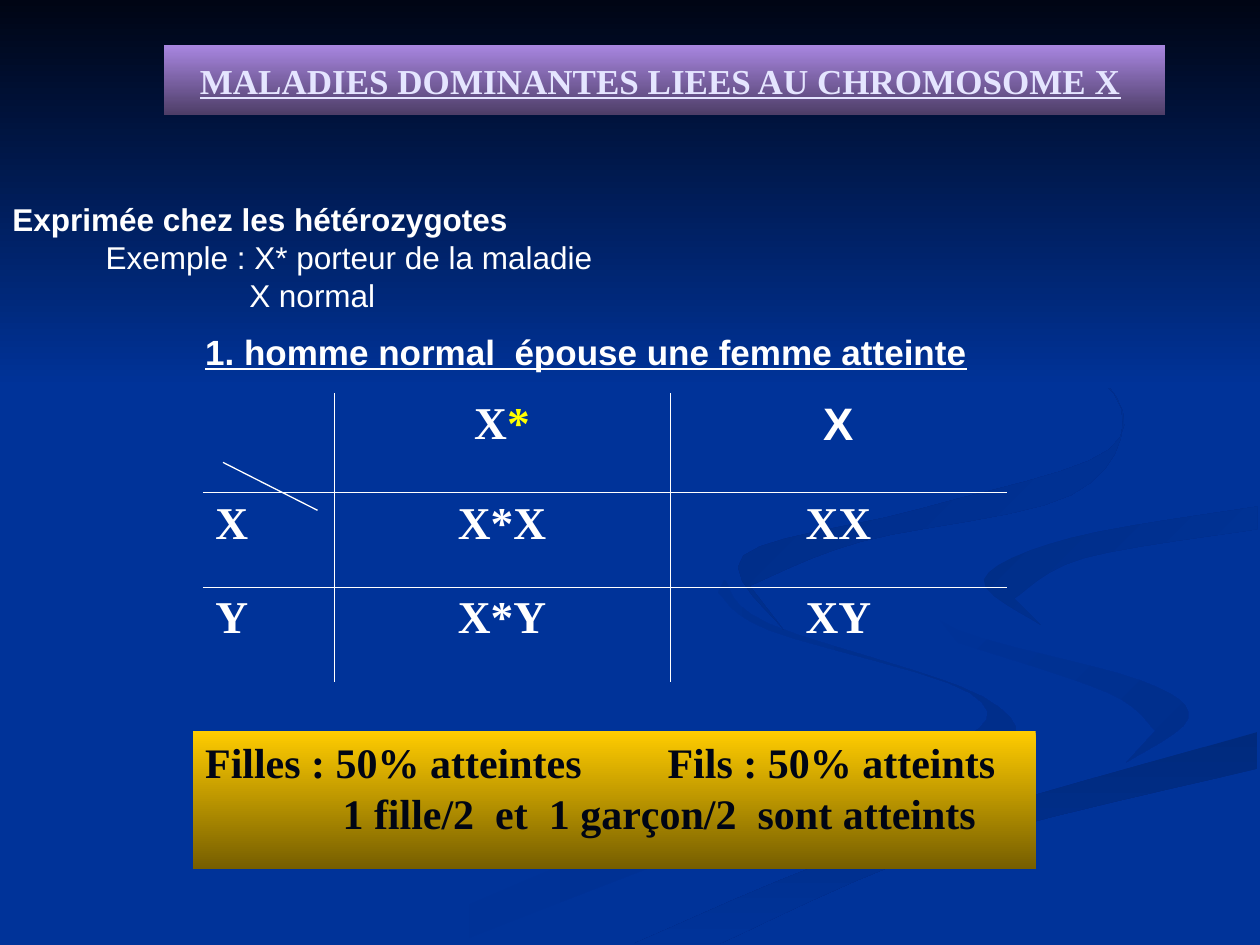
from pptx import Presentation
from pptx.dml.color import RGBColor
from pptx.enum.shapes import MSO_CONNECTOR, MSO_SHAPE
from pptx.enum.text import MSO_ANCHOR, PP_ALIGN
from pptx.oxml.ns import qn
from pptx.util import Inches, Pt
from lxml import etree

RECTANGLE = MSO_SHAPE.RECTANGLE
STRAIGHT = MSO_CONNECTOR.STRAIGHT
TOP, MIDDLE = MSO_ANCHOR.TOP, MSO_ANCHOR.MIDDLE
LEFT, CENTER = PP_ALIGN.LEFT, PP_ALIGN.CENTER

SERIF, SANS = "Times New Roman", "Arial"
WHITE, YELLOW, BLUE, NIGHT = "FFFFFF", "FFFF00", "003399", "000514"

TITLE = "MALADIES DOMINANTES LIEES AU CHROMOSOME X"
EXPRESSION = [
    ("Exprimée chez les hétérozygotes", True, None),
    ("\tExemple\u00a0: X* porteur de la maladie", False, 0.74),
    ("\tX normal", False, 1.88),
]
CROSS_HEADING = "1. homme normal  épouse une femme atteinte"
CROSS = [
    [[], [("X", SERIF, WHITE), ("*", SERIF, YELLOW)], [("X", SANS, WHITE)]],
    [[(genotype, SERIF, WHITE)] for genotype in ("X", "X*X", "XX")],
    [[(genotype, SERIF, WHITE)] for genotype in ("Y", "X*Y", "XY")],
]
COLUMN_WIDTHS, ROW_HEIGHTS = (1.04, 2.67, 2.67), (0.79, 0.75, 0.75)
OUTCOME = [
    ("Filles\u00a0: 50% atteintes\tFils\u00a0: 50% atteints", 3.67),
    ("\t1 fille/2  et  1 garçon/2  sont atteints", 1.09),
]

CURVE_STEPS = 6
SWIRLS = [
    ((BLUE, "002E8B"), 0,
     [(5.75, 4.6), (6.1, 4.95), (7.8, 5.53), (7.9, 6), (6.2, 6.5), (3.6, 7.49)],
     [(3, 7.49), (5.4, 6.5), (7.5, 5.93), (7.7, 5.5), (6.1, 5), (5.7, 4.7)]),
    ((BLUE, "002E8B"), 45,
     [(7.24, 4.64), (7.6, 5), (9.05, 5.4), (9.43, 5.7), (8.94, 6.05)],
     [(9.17, 5.8), (8.8, 5.5), (7.6, 5.1)]),
    (("002A7D", BLUE), 90,
     [(5.03, 7.49), (7, 6.68), (9.98, 5.81)],
     [(9.98, 6.1), (7.5, 6.72), (5.71, 7.49)]),
    (("002D86", BLUE), 45,
     [(8.26, 4.96), (7.81, 4.6), (8.5, 4.27), (9.98, 4.02)],
     [(9.98, 4.2), (8.6, 4.43), (8.05, 4.75)]),
    (("002B82", BLUE), 45,
     [(7.62, 2.33), (8.7, 2.95), (8.8, 3.57), (7.3, 4.04), (5.9, 4.41), (6.22, 5)],
     [(5.95, 4.65), (6.83, 4.3), (8.5, 3.93), (8.9, 3.24), (8.2, 2.6)]),
]


def color(hex_code):
    return RGBColor.from_string(hex_code)


def inches(*lengths):
    return [Inches(length) for length in lengths]


def smooth(edge):
    knots = [edge[0], *edge, edge[-1]]
    points = []
    for before, start, end, after in zip(knots, knots[1:], knots[2:], knots[3:]):
        for step in range(CURVE_STEPS):
            t = step / CURVE_STEPS
            points.append([
                b + t / 2 * (c - a + t * (2 * a - 5 * b + 4 * c - d + t * (3 * b - a - 3 * c + d)))
                for a, b, c, d in zip(before, start, end, after)
            ])
    return points + [edge[-1]]


def paint(shape, colors, angle=90):
    shape.shadow.inherit = False
    shape.line.fill.background()
    shape.fill.gradient()
    shape.fill.gradient_angle = (360 - angle) % 360
    for stop, hex_code in zip(shape.fill.gradient_stops, colors):
        stop.color.rgb = color(hex_code)


def set_frame(frame, anchor):
    frame.word_wrap = True
    frame.vertical_anchor = anchor
    frame.margin_left = frame.margin_right = Inches(0.1)
    frame.margin_top = frame.margin_bottom = Inches(0.05)


def add_paragraph(frame, index, align=LEFT, tab=None):
    paragraph = frame.add_paragraph() if index else frame.paragraphs[0]
    paragraph.alignment = align
    if tab:
        tabs = etree.SubElement(paragraph._p.get_or_add_pPr(), qn("a:tabLst"))
        etree.SubElement(tabs, qn("a:tab"), pos=str(Inches(tab)), algn="l")
    return paragraph


def add_run(paragraph, text, size, font_name, hex_code, bold=True, underline=False):
    run = paragraph.add_run()
    run.text = text
    font = run.font
    font.size, font.name, font.bold, font.underline = Pt(size), font_name, bold, underline
    font.color.rgb = color(hex_code)


def set_borders(cell, inner_sides):
    properties = cell._tc.get_or_add_tcPr()
    for position, side in enumerate("LRTB"):
        border = etree.Element(qn(f"a:ln{side}"), w=str(Pt(0.45)))
        if side in inner_sides:
            solid = etree.SubElement(border, qn("a:solidFill"))
            etree.SubElement(solid, qn("a:srgbClr"), val=WHITE)
        else:
            etree.SubElement(border, qn("a:noFill"))
        properties.insert(position, border)


def add_background(slide):
    slide.background.fill.solid()
    slide.background.fill.fore_color.rgb = color(BLUE)
    for colors, angle, outer_edge, inner_edge in SWIRLS:
        points = [inches(*point) for point in smooth(outer_edge) + smooth(inner_edge)]
        builder = slide.shapes.build_freeform(*points[0])
        builder.add_line_segments(points[1:], close=True)
        paint(builder.convert_to_shape(), colors, angle)
    sky = slide.shapes.add_shape(RECTANGLE, *inches(0, 0, 10, 3.08))
    paint(sky, (NIGHT, BLUE))


def add_title(slide):
    title = slide.shapes.title
    title._element.getparent().append(title._element)
    title.left, title.top, title.width, title.height = inches(1.3, 0.36, 7.95, 0.55)
    paint(title, ("A886E0", "4E3E68"))
    set_frame(title.text_frame, MIDDLE)
    title.text_frame.margin_right = Inches(0.17)
    add_run(add_paragraph(title.text_frame, 0, CENTER), TITLE, 20, SERIF, "E5E5FF", underline=True)


def add_introduction(slide):
    expression = slide.shapes.add_textbox(*inches(0, 1.54, 5.79, 1)).text_frame
    set_frame(expression, MIDDLE)
    for index, (text, bold, tab) in enumerate(EXPRESSION):
        add_run(add_paragraph(expression, index, tab=tab), text, 18, SANS, WHITE, bold)
    heading = slide.shapes.add_textbox(*inches(1.53, 2.57, 6.4, 0.44)).text_frame
    set_frame(heading, MIDDLE)
    add_run(add_paragraph(heading, 0), CROSS_HEADING, 20, SANS, WHITE, underline=True)


def add_cross(slide):
    diagonal = slide.shapes.add_connector(STRAIGHT, *inches(2.52, 4.05, 1.77, 3.67))
    diagonal.line.color.rgb = color(WHITE)
    diagonal.line.width = Pt(0.75)
    etree.SubElement(diagonal._element.spPr, qn("a:effectLst"))

    size = inches(sum(COLUMN_WIDTHS), sum(ROW_HEIGHTS))
    table = slide.shapes.add_table(len(CROSS), len(CROSS[0]), *inches(1.61, 3.12), *size).table
    table.first_row = table.horz_banding = False
    for column, width in zip(table.columns, COLUMN_WIDTHS):
        column.width = Inches(width)
    last = len(CROSS) - 1
    for r, row in enumerate(CROSS):
        table.rows[r].height = Inches(ROW_HEIGHTS[r])
        for c, runs in enumerate(row):
            cell = table.cell(r, c)
            cell.fill.background()
            set_borders(cell, "L" * (c > 0) + "R" * (c < last) + "T" * (r > 0) + "B" * (r < last))
            paragraph = add_paragraph(cell.text_frame, 0, CENTER if c else LEFT)
            for text, font_name, hex_code in runs:
                add_run(paragraph, text, 26, font_name, hex_code)


def add_outcome(slide):
    outcome = slide.shapes.add_shape(RECTANGLE, *inches(1.53, 5.8, 6.69, 1.1))
    paint(outcome, ("FFCC00", "765E00"))
    set_frame(outcome.text_frame, TOP)
    for index, (text, tab) in enumerate(OUTCOME):
        add_run(add_paragraph(outcome.text_frame, index, tab=tab), text, 24, SERIF, NIGHT)


def main():
    presentation = Presentation()
    presentation.slide_width, presentation.slide_height = inches(10, 7.5)
    slide = presentation.slides.add_slide(presentation.slide_layouts[5])
    for add_part in (add_background, add_title, add_introduction, add_cross, add_outcome):
        add_part(slide)
    presentation.save("out.pptx")


if __name__ == "__main__":
    main()
